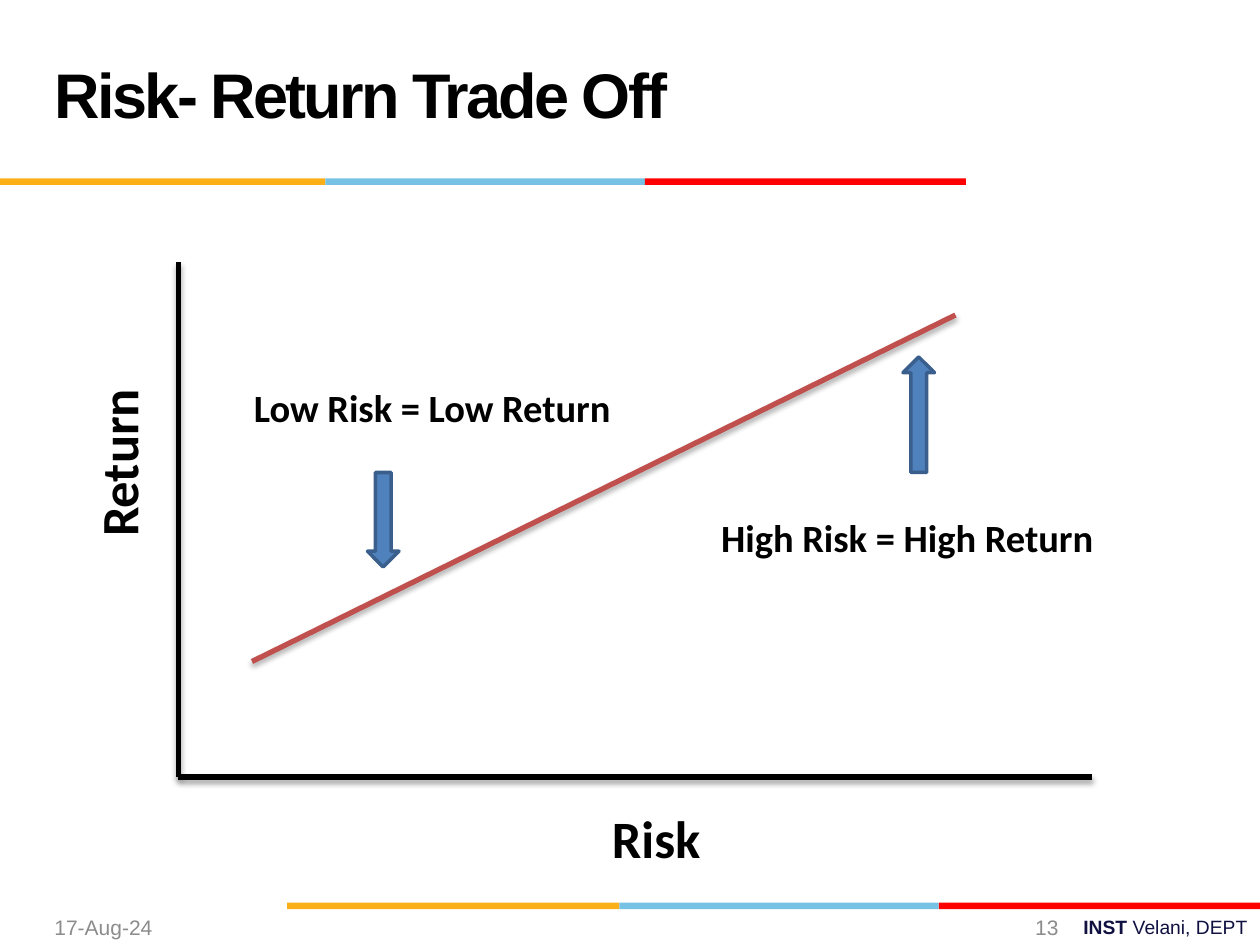
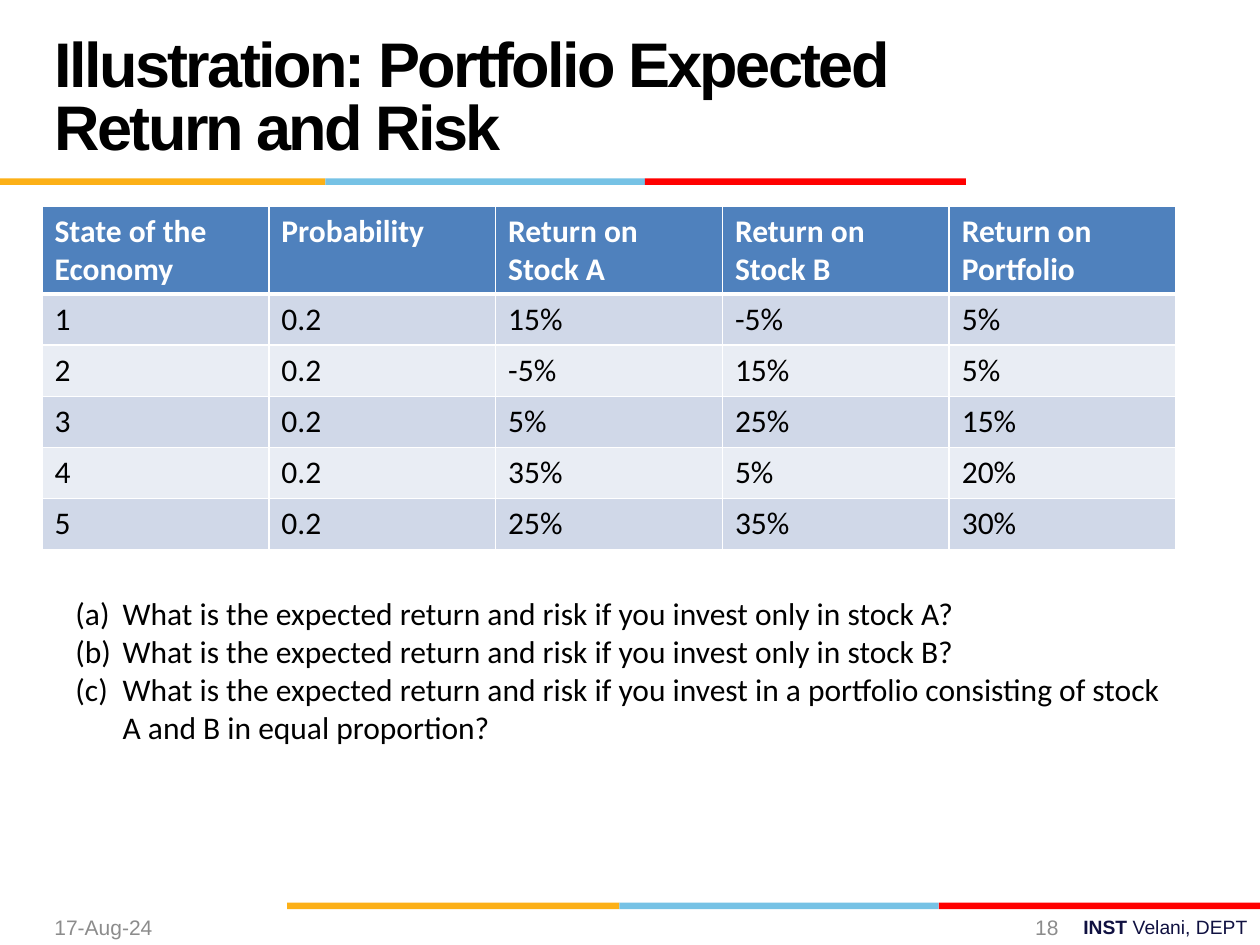
from dataclasses import dataclass
from itertools import pairwise

from lxml.etree import SubElement as Sub
from pptx import Presentation
from pptx.dml.color import RGBColor as Rgb
from pptx.enum.shapes import MSO_CONNECTOR as Link, MSO_SHAPE as Form
from pptx.enum.text import MSO_ANCHOR as Anchor, MSO_AUTO_SIZE as Fit, PP_ALIGN as Align
from pptx.oxml.ns import qn
from pptx.util import Pt


@dataclass(frozen=True)
class Theme:
    """Colours, fonts and type sizes of the deck."""
    black: str = "000000"
    white: str = "FFFFFF"
    grey: str = "8C8C8C"
    navy: str = "101141"
    gold: str = "FCB017"
    sky: str = "76C2E5"
    red: str = "FF0000"
    trend: str = "C0504D"
    blue: str = "4F81BD"
    edge: str = "3A5F8C"
    odd: str = "D0D8E8"
    even: str = "E9EDF4"
    head: str = "Arial"
    body: str = "Calibri"
    title: int = 36
    axis: int = 30
    label: int = 22
    text: int = 18
    foot: int = 12
    brand: int = 11


T = Theme()


def box(*nums):
    """Turn point values into lengths."""
    return [Pt(n) for n in nums]


def style(font, size, color=T.black, bold=False, name=T.body):
    """Set the look of a font."""
    font.name, font.size, font.bold = name, Pt(size), bold
    font.color.rgb = Rgb.from_string(color)


def paint(item, color):
    """Give a fill one solid colour."""
    item.fill.solid()
    item.fill.fore_color.rgb = Rgb.from_string(color)


def stroke(line, color, width):
    """Set colour and width of a line."""
    line.color.rgb = Rgb.from_string(color)
    line.width = Pt(width)


def write(slide, lines, at, size, align=Align.LEFT, anchor=Anchor.TOP, **look):
    """Add a text box with one paragraph for each line."""
    shape = slide.shapes.add_textbox(*box(*at))
    frame = shape.text_frame
    frame.word_wrap, frame.vertical_anchor = True, anchor
    frame.text = "\n".join(lines)
    for para in frame.paragraphs:
        para.alignment = align
        style(para.font, size, **look)
    return shape


def bar(slide, top, edges):
    """Draw a three-colour band between the given edges."""
    for (left, right), color in zip(pairwise(edges), (T.gold, T.sky, T.red)):
        block(slide, Form.RECTANGLE, (left, top, right - left, 3.75), color)


def block(slide, form, at, color, edge=None):
    """Add a filled preset shape, with an outline if asked."""
    shape = slide.shapes.add_shape(form, *box(*at))
    shape.shadow.inherit = False
    paint(shape, color)
    if edge:
        stroke(shape.line, edge, 2)
    else:
        shape.line.fill.background()


def rule(slide, start, end, color):
    """Draw a thick line with a soft shadow below it."""
    line = slide.shapes.add_connector(Link.STRAIGHT, *box(*start, *end))
    stroke(line.line, color, 3)
    fx = Sub(line._element.spPr, qn("a:effectLst"))
    shade = Sub(fx, qn("a:outerShdw"), blurRad=str(Pt(3.1)), dist=str(Pt(1.8)),
                dir="5400000", rotWithShape="0")
    tint = Sub(shade, qn("a:srgbClr"), val=T.black)
    Sub(tint, qn("a:alpha"), val="35000")


def start(deck, title, page):
    """Add a slide with title, bands and footer."""
    slide = deck.slides.add_slide(deck.slide_layouts[5])
    bar(slide, 515.75, (164, 354, 536.5, 720))
    bar(slide, 102, (0, 186, 368.5, 552))
    head = slide.shapes.title
    head.left, head.top, head.width, head.height = box(24, 12, 498, 90)
    frame = head.text_frame
    frame.text, frame.word_wrap = title, True
    frame.auto_size, frame.vertical_anchor = Fit.NONE, Anchor.MIDDLE
    para = frame.paragraphs[0]
    para.alignment, para.line_spacing = Align.LEFT, Pt(36)
    style(para.font, T.title, bold=True, name=T.head)
    para.runs[0]._r.get_or_add_rPr().set("spc", "-150")

    look = dict(anchor=Anchor.MIDDLE, color=T.grey, name=T.head)
    write(slide, ["17-Aug-24"], (24, 519, 168, 21), T.foot, **look)
    write(slide, [page], (532, 519, 80, 21), T.foot, Align.RIGHT, **look)
    brand = write(slide, ["INST "], (612, 519.5, 108, 21), T.brand,
                  Align.RIGHT, color=T.navy, name=T.head)
    brand.text_frame.margin_left = 0
    para = brand.text_frame.paragraphs[0]
    para.runs[0].font.bold = True
    para.add_run().text = "Velani, DEPT"
    return slide


def border(cell, low, high):
    """Draw white cell edges with given bottom and top widths."""
    props = cell._tc.get_or_add_tcPr()
    for side, width in zip("LRTB", (1, 1, high, low)):
        line = Sub(props, qn(f"a:ln{side}"), w=str(Pt(width)))
        Sub(Sub(line, qn("a:solidFill")), qn("a:srgbClr"), val=T.white)


def grid(slide, rows, at):
    """Add a table with a blue header and banded rows."""
    table = slide.shapes.add_table(len(rows), len(rows[0]), *box(*at)).table
    for i, row in enumerate(rows):
        top = i == 0
        table.rows[i].height = Pt(50.4 if top else 29.2)
        for j, word in enumerate(row):
            cell = table.cell(i, j)
            border(cell, 3 if top else 1, 3 if i == 1 else 1)
            paint(cell, T.blue if top else (T.even, T.odd)[i % 2])
            cell.text = word
            style(cell.text_frame.paragraphs[0].font, T.text,
                  T.white if top else T.black, top)


def number(shape):
    """Number the paragraphs (a), (b), (c) with a hanging indent."""
    for para in shape.text_frame.paragraphs:
        props = para._p.get_or_add_pPr()
        props.set("marL", str(Pt(27)))
        props.set("indent", str(Pt(-27)))
        mark = Sub(props, qn("a:buAutoNum"), type="alphaLcParenBoth")
        props.insert(0, mark)


def trade(deck):
    """Build the risk and return diagram."""
    slide = start(deck, "Risk- Return Trade Off", "13")
    zero = (102, 444)
    rule(slide, (102, 150), zero, T.black)
    rule(slide, zero, (624, 444), T.black)
    rule(slide, (144, 378), (546, 180), T.trend)
    for word, at in (("Low Risk = Low Return", (138, 216, 234, 34)),
                     ("High Risk = High Return", (405, 290, 240, 34))):
        write(slide, [word], at, T.label, bold=True)
    block(slide, Form.DOWN_ARROW, (210, 270, 18, 54), T.blue, T.edge)
    block(slide, Form.UP_ARROW, (516, 204, 18, 66), T.blue, T.edge)
    for word, at, turn in (("Risk", (255, 457, 240, 44), 0),
                           ("Return", (-52.5, 242.5, 240, 44), 270)):
        name = write(slide, [word], at, T.axis, Align.CENTER, bold=True)
        name.rotation = turn


def stocks(deck):
    """Build the portfolio table and its questions."""
    slide = start(deck, "Illustration: Portfolio Expected Return and Risk", "18")
    rows = [
        ("State of the Economy", "Probability", "Return on Stock A",
         "Return on Stock B", "Return on Portfolio"),
        ("1", "0.2", "15%", "-5%", "5%"),
        ("2", "0.2", "-5%", "15%", "5%"),
        ("3", "0.2", "5%", "25%", "15%"),
        ("4", "0.2", "35%", "5%", "20%"),
        ("5", "0.2", "25%", "35%", "30%"),
    ]
    grid(slide, rows, (24, 117.6, 648, 196.4))
    ask = "What is the expected return and risk if you invest "
    ends = ("only in stock A?", "only in stock B?",
            "in a portfolio consisting of stock A and B in equal proportion?")
    number(write(slide, [ask + end for end in ends], (36, 336, 636, 117), T.text))


def main():
    """Build and save the deck."""
    deck = Presentation()
    deck.slide_width, deck.slide_height = box(720, 540)
    trade(deck)
    stocks(deck)
    deck.save("out.pptx")


if __name__ == "__main__":
    main()
